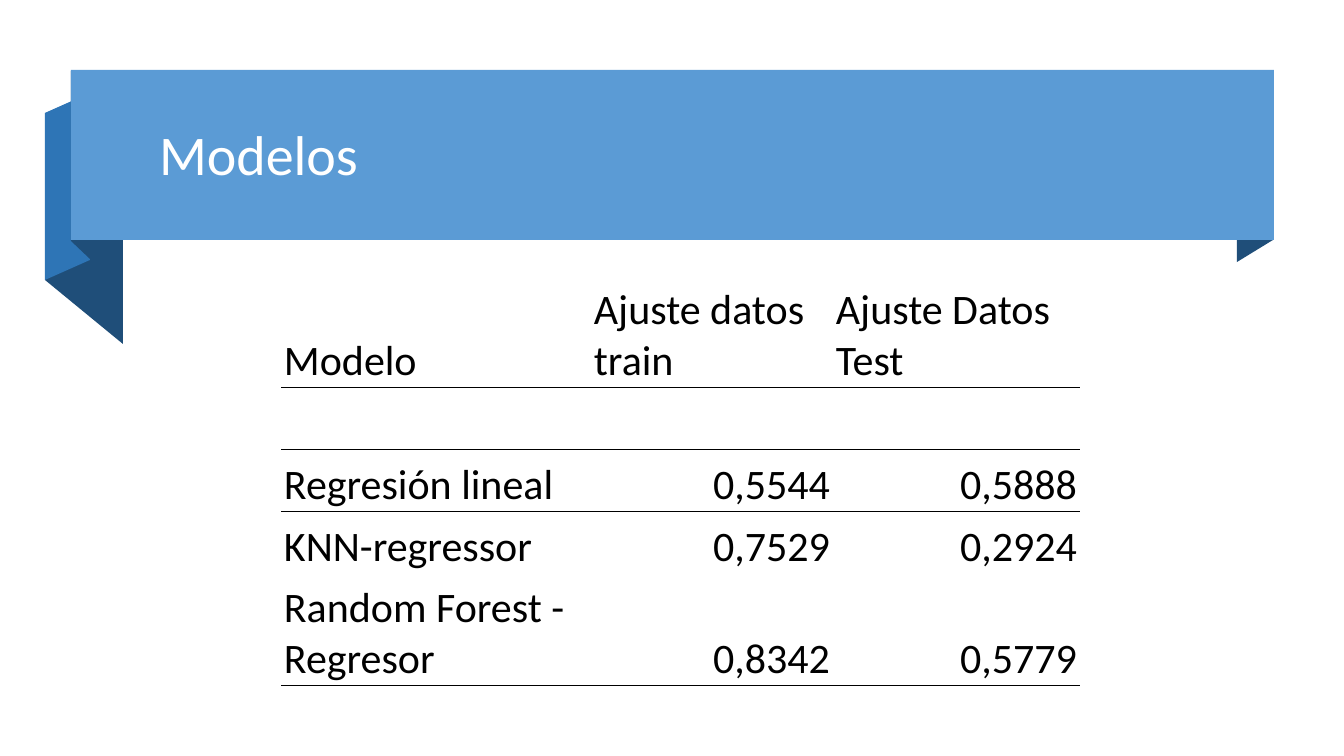
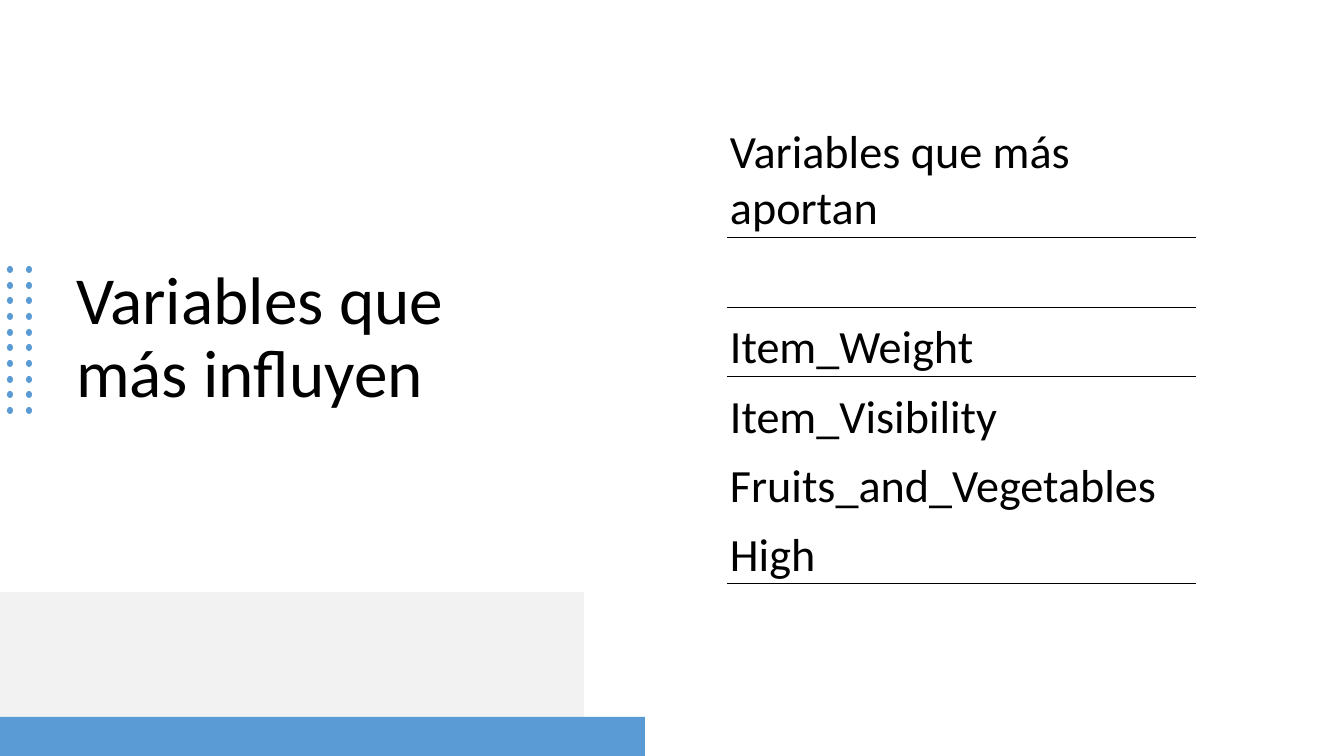
from dataclasses import dataclass
from itertools import product

from lxml import etree
from pptx import Presentation
from pptx.dml.color import RGBColor
from pptx.enum.shapes import MSO_SHAPE
from pptx.enum.text import MSO_ANCHOR, MSO_AUTO_SIZE, PP_ALIGN
from pptx.oxml.ns import qn
from pptx.shapes.autoshape import Shape
from pptx.shapes.shapetree import GroupShapes, SlideShapes
from pptx.slide import Slide
from pptx.table import _Cell
from pptx.text.text import TextFrame
from pptx.util import Emu, Pt

RECTANGLE = MSO_SHAPE.RECTANGLE
OVAL = MSO_SHAPE.OVAL
MIDDLE = MSO_ANCHOR.MIDDLE
BOTTOM = MSO_ANCHOR.BOTTOM
NO_FIT = MSO_AUTO_SIZE.NONE
LEFT = PP_ALIGN.LEFT
RIGHT = PP_ALIGN.RIGHT

EMU_PER_PIXEL = 914400 / 100.8
FONT = "Calibri"
TITLE_ONLY_LAYOUT = 5
PLAIN_TABLE_STYLE = "{2D5ABB26-0587-4C30-8999-92F81FD0307C}"
COLORS = {
    "blue": "5B9BD5",
    "fold": "2E75B6",
    "shade": "1F4E79",
    "pale": "F2F2F2",
    "white": "FFFFFF",
    "black": "000000",
}


@dataclass(frozen=True)
class Area:
    left: int
    top: int
    width: int
    height: int

    def emu(self) -> tuple[Emu, Emu, Emu, Emu]:
        return px(self.left), px(self.top), px(self.width), px(self.height)


@dataclass(frozen=True)
class Fold:
    points: tuple[tuple[int, int], ...]
    color: str


@dataclass(frozen=True)
class Band:
    area: Area
    color: str


@dataclass(frozen=True)
class RuledTable:
    left: int
    top: int
    widths: tuple[int, ...]
    heights: tuple[int, ...]
    size: int
    rows: tuple[tuple[str, ...], ...]


RIBBON_FOLDS = (
    Fold(((1273, 240), (1237, 262), (1237, 92), (1273, 71)), "shade"),
    Fold(((123, 344), (45, 280), (45, 113), (123, 176)), "shade"),
    Fold(((90, 260), (45, 280), (45, 113), (90, 93)), "fold"),
    Fold(((90, 259), (71, 241), (71, 71), (90, 90)), "shade"),
)
RIBBON_FRONT = Band(Area(71, 70, 1203, 170), "blue")
FLOOR_BANDS = (
    Band(Area(0, 592, 584, 164), "pale"),
    Band(Area(0, 717, 645, 39), "blue"),
)
DOT_LEFTS = (7, 26)
DOT_TOPS = tuple(266 + round(row * 141 / 9) for row in range(10))

MODELS = RuledTable(
    left=281, top=275, widths=(310, 242, 247), heights=(112, 62, 62, 62, 112), size=30,
    rows=(
        ("Modelo", "Ajuste datos train", "Ajuste Datos Test"),
        ("", "", ""),
        ("Regresión lineal", "0,5544", "0,5888"),
        ("KNN-regressor", "0,7529", "0,2924"),
        ("Random Forest - Regresor", "0,8342", "0,5779"),
    ),
)
VARIABLES = RuledTable(
    left=727, top=112, widths=(469,), heights=(125, 70, 69, 70, 69, 69), size=33,
    rows=(
        ("Variables que más aportan",),
        ("",),
        ("Item_Weight",),
        ("Item_Visibility",),
        ("Fruits_and_Vegetables",),
        ("High",),
    ),
)


def px(pixels: float) -> Emu:
    return Emu(round(pixels * EMU_PER_PIXEL))


def rgb(color: str) -> RGBColor:
    return RGBColor.from_string(COLORS[color])


def write_text(frame: TextFrame, text: str, *, size: int, color: str = "black",
               align: PP_ALIGN = LEFT, line_spacing: float = 1.0) -> None:
    para = frame.paragraphs[0]
    para.alignment = align
    para.line_spacing = line_spacing
    span = para.add_run()
    span.text = text
    span.font.name = FONT
    span.font.size = Pt(size)
    span.font.color.rgb = rgb(color)


def paint(shape: Shape, color: str) -> None:
    shape.shadow.inherit = False
    shape.fill.solid()
    shape.fill.fore_color.rgb = rgb(color)
    shape.line.fill.background()


def draw_fold(shapes: GroupShapes, fold: Fold) -> None:
    start, *others = fold.points
    builder = shapes.build_freeform(*start, scale=EMU_PER_PIXEL)
    builder.add_line_segments(others, close=True)
    paint(builder.convert_to_shape(), fold.color)


def draw_band(shapes: SlideShapes | GroupShapes, band: Band) -> None:
    paint(shapes.add_shape(RECTANGLE, *band.area.emu()), band.color)


def draw_ribbon(page: Slide) -> None:
    ribbon = page.shapes.add_group_shape().shapes
    for fold in RIBBON_FOLDS:
        draw_fold(ribbon, fold)
    draw_band(ribbon, RIBBON_FRONT)


def draw_dots(page: Slide) -> None:
    dots = page.shapes.add_group_shape().shapes
    for left, top in product(DOT_LEFTS, DOT_TOPS):
        paint(dots.add_shape(OVAL, *Area(left, top, 6, 7).emu()), "blue")


def place_title(page: Slide, text: str, area: Area, *, size: int, color: str) -> None:
    title = page.shapes.title
    title.left, title.top, title.width, title.height = area.emu()
    frame = title.text_frame
    frame.word_wrap = True
    frame.auto_size = NO_FIT
    frame.vertical_anchor = MIDDLE
    write_text(frame, text, size=size, color=color, line_spacing=0.9)
    title.element.getparent().append(title.element)


def rule_cell(cell: _Cell, side: str) -> None:
    properties = cell._tc.get_or_add_tcPr()
    line = etree.SubElement(properties, qn(f"a:ln{side}"), w=str(Pt(0.5)))
    fill = etree.SubElement(line, qn("a:solidFill"))
    etree.SubElement(fill, qn("a:srgbClr"), val=COLORS["black"])


def draw_table(page: Slide, spec: RuledTable) -> None:
    area = Area(spec.left, spec.top, sum(spec.widths), sum(spec.heights))
    holder = page.shapes.add_table(len(spec.heights), len(spec.widths), *area.emu())
    for style in holder.element.iter(qn("a:tableStyleId")):
        style.text = PLAIN_TABLE_STYLE
    table = holder.table
    table.first_row = False
    table.horz_banding = False
    for column, width in zip(table.columns, spec.widths):
        column.width = px(width)
    for row, height in zip(table.rows, spec.heights):
        row.height = px(height)
    ruled_below = {0, 1, len(spec.rows) - 1}
    for row_index, texts in enumerate(spec.rows):
        for column_index, text in enumerate(texts):
            cell = table.cell(row_index, column_index)
            cell.margin_left = cell.margin_right = cell.margin_top = px(3)
            cell.margin_bottom = 0
            cell.vertical_anchor = BOTTOM
            if row_index - 1 in ruled_below:
                rule_cell(cell, "T")
            if row_index in ruled_below:
                rule_cell(cell, "B")
            cell.fill.background()
            if text:
                is_value = row_index > 0 and column_index > 0
                write_text(cell.text_frame, text, size=spec.size,
                           align=RIGHT if is_value else LEFT)


def build_models(page: Slide) -> None:
    draw_ribbon(page)
    place_title(page, "Modelos", Area(149, 84, 1103, 146), size=40, color="white")
    draw_table(page, MODELS)


def build_variables(page: Slide) -> None:
    place_title(page, "Variables que más influyen", Area(66, 162, 411, 354),
                size=48, color="black")
    draw_dots(page)
    for band in FLOOR_BANDS:
        draw_band(page.shapes, band)
    draw_table(page, VARIABLES)


def main() -> None:
    deck = Presentation()
    deck.slide_width = px(1344)
    deck.slide_height = px(756)
    for build in (build_models, build_variables):
        build(deck.slides.add_slide(deck.slide_layouts[TITLE_ONLY_LAYOUT]))
    deck.save("out.pptx")


main()
